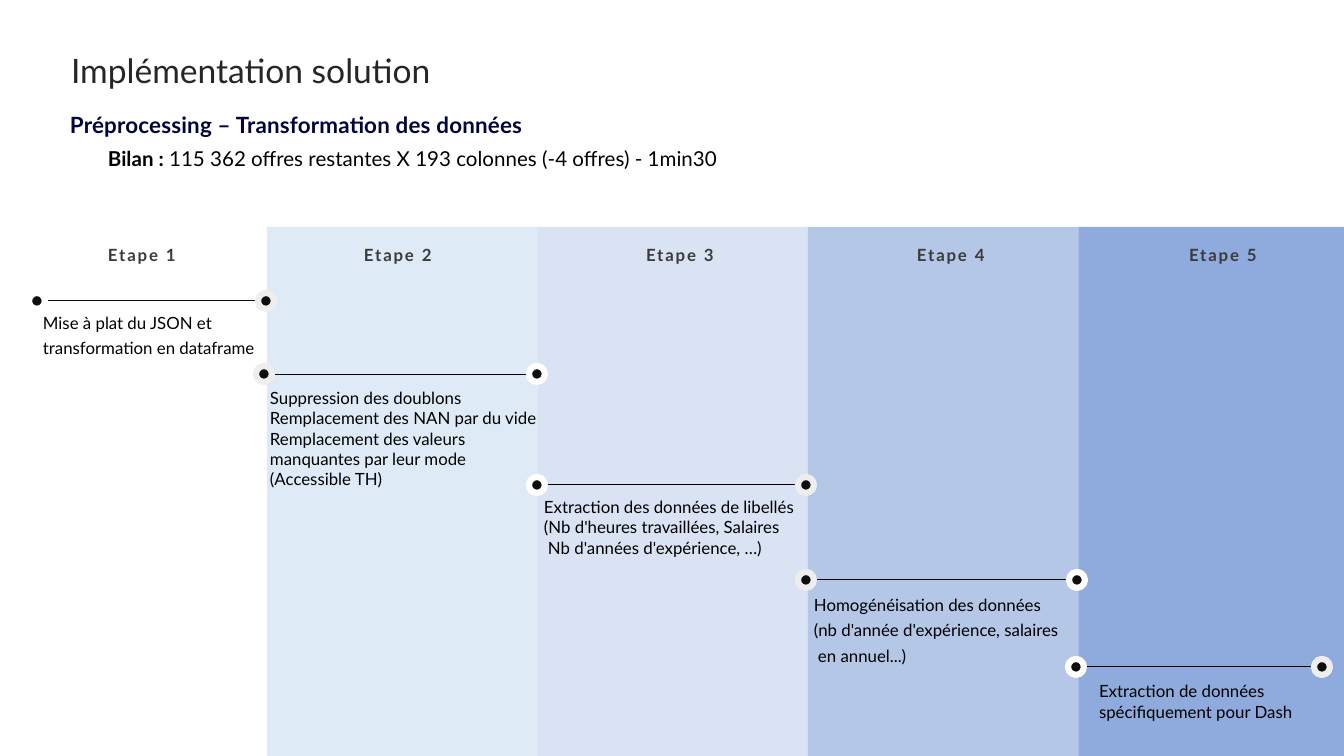
import pptx
import pptx.util
import pptx.dml.color
import pptx.enum.shapes
import pptx.enum.text
import pptx.oxml.ns
from lxml import etree

PX = 914400 / 134.4
FONT = "Lato"
INK, BLACK, WHITE, GREY = "0E0E0E", "000000", "FFFFFF", "EEEEEE"
SHAPES = pptx.enum.shapes.MSO_SHAPE

TITLE = "Implémentation solution"
SUBTITLE = "Préprocessing – Transformation des données"
SUMMARY = [("Bilan : ", True),
           ("115 362 offres restantes X 193 colonnes (-4 offres) - 1min30", False)]
COLUMN_FILLS = ["DEEBF7", "DAE3F3", "B4C7E7", "8FAADC"]
COLUMN_LEFT, COLUMN_TOP, COLUMN_STEP = 267, 227, 270.5
SLIDE_WIDTH, SLIDE_HEIGHT = 1344, 756
DOT = 16
LOOSE = 13.5

STEPS = [
    {"label_x": 108, "track": (37, 266, 301), "box": (43, 308, 263, 50),
     "lines": [("Mise à plat du JSON et transformation en dataframe", LOOSE, 0)]},
    {"label_x": 364, "track": (264, 537, 374), "box": (270, 388, 316, 100),
     "lines": [("Suppression des doublons", None, 0),
               ("Remplacement des NAN par du vide", None, 0),
               ("Remplacement des valeurs", None, 0),
               ("manquantes par leur mode", None, 0),
               ("(Accessible TH)", None, 0)]},
    {"label_x": 646, "track": (537, 806, 485), "box": (544, 492, 274, 67),
     "lines": [("Extraction des données de libellés", LOOSE, 0),
               ("(Nb d'heures travaillées, Salaires", None, 0),
               ("Nb d'années d'expérience, …)", None, 4)]},
    {"label_x": 917, "track": (806, 1077, 580), "box": (814, 590, 269, 75),
     "lines": [("Homogénéisation des données", LOOSE, 0),
               ("(nb d'année d'expérience, salaires", LOOSE, 0),
               ("en annuel...)", LOOSE, 4)]},
    {"label_x": 1189, "track": (1076, 1322, 667), "box": (1099, 681, 235, 50),
     "lines": [("Extraction de données spécifiquement pour Dash", None, 0)]},
]


def px(length):
    return round(length * PX)


def color(value):
    return pptx.dml.color.RGBColor.from_string(value)


def add_block(kind, left, top, width, height, fill, ring=None):
    block = slide.shapes.add_shape(kind, px(left), px(top), px(width), px(height))
    block.shadow.inherit = False
    block.fill.solid()
    block.fill.fore_color.rgb = color(fill)
    if ring:
        block.line.color.rgb = color(ring)
        block.line.width = pptx.util.Pt(3.33)
    else:
        block.line.fill.background()


def add_text(box, lines, size, ink, bold=None, tracking=0, wrap=True):
    frame = slide.shapes.add_textbox(*map(px, box)).text_frame
    frame.word_wrap = wrap
    frame.margin_left = frame.margin_right = frame.margin_top = frame.margin_bottom = 0
    for index, (runs, spacing, indent) in enumerate(lines):
        paragraph = frame.add_paragraph() if index else frame.paragraphs[0]
        if isinstance(runs, str):
            runs = [(runs, None)]
        if indent:
            paragraph._p.get_or_add_pPr().set("marL", str(px(indent)))
        if spacing:
            paragraph.line_spacing = pptx.util.Pt(spacing)
        for words, strong in runs:
            run = paragraph.add_run()
            run.text = words
            if strong is not None:
                run.font.bold = strong
            if tracking:
                run._r.get_or_add_rPr().set("spc", str(tracking))
        paragraph.font.name = FONT
        paragraph.font.size = pptx.util.Pt(size)
        paragraph.font.color.rgb = color(ink)
        paragraph.font.bold = bold


def add_track(start, end, y):
    track = slide.shapes.add_connector(
        pptx.enum.shapes.MSO_CONNECTOR.STRAIGHT, px(start), px(y), px(end), px(y))
    track.line.color.rgb = color(BLACK)
    track.line.width = pptx.util.Pt(0.5)
    etree.SubElement(track._element.spPr, pptx.oxml.ns.qn("a:effectLst"))


deck = pptx.Presentation()
deck.slide_width, deck.slide_height = px(SLIDE_WIDTH), px(SLIDE_HEIGHT)
slide = deck.slides.add_slide(deck.slide_layouts[6])

for index, fill in enumerate(COLUMN_FILLS):
    left = COLUMN_LEFT + index * COLUMN_STEP
    width = min(COLUMN_STEP, SLIDE_WIDTH - left)
    add_block(SHAPES.RECTANGLE, left, COLUMN_TOP, width, SLIDE_HEIGHT - COLUMN_TOP, fill)

add_text((71, 50, 653, 40), [(TITLE, None, 0)], 18, "262626")
add_text((70, 104, 672, 34), [(SUBTITLE, 18, 0)], 12, "02033B", True, 10)
add_text((108, 146, 685, 26), [(SUMMARY, None, 0)], 11, BLACK)

for number, step in enumerate(STEPS, 1):
    start, end, y = step["track"]
    add_text((step["label_x"], 248, 70, 17), [(f"Etape {number}", 9, 0)],
             9, "3B3B3B", True, 100, False)
    if number == 1:
        add_block(SHAPES.RECTANGLE, start + DOT / 2, y - 1, end - start - DOT, 1, INK)
    else:
        add_track(start + DOT / 2, end - DOT / 2, y)
    rings = (WHITE, GREY) if number % 2 else (GREY, WHITE)
    for x, ring in zip((start, end), rings):
        add_block(SHAPES.OVAL, x - DOT / 2, y - DOT / 2, DOT, DOT, INK, ring)
    add_text(step["box"], step["lines"], 9, BLACK)

deck.save("out.pptx")
